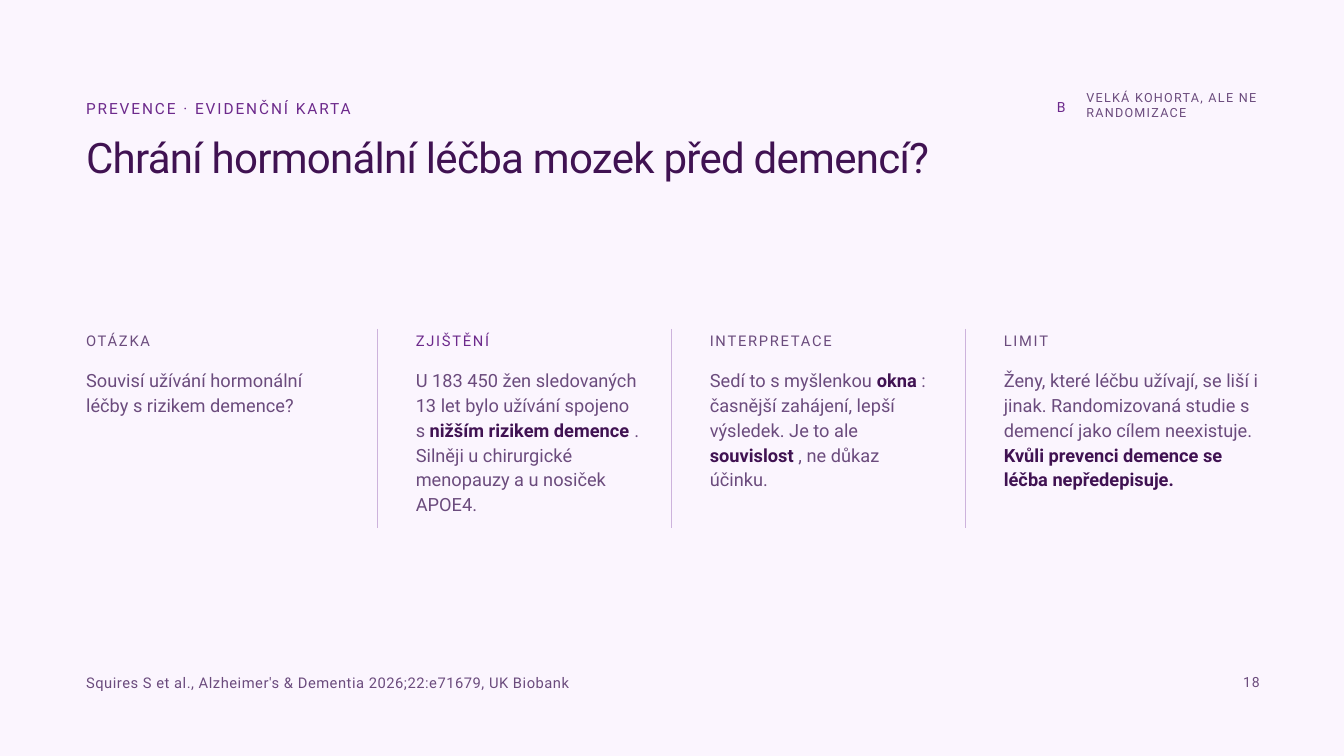
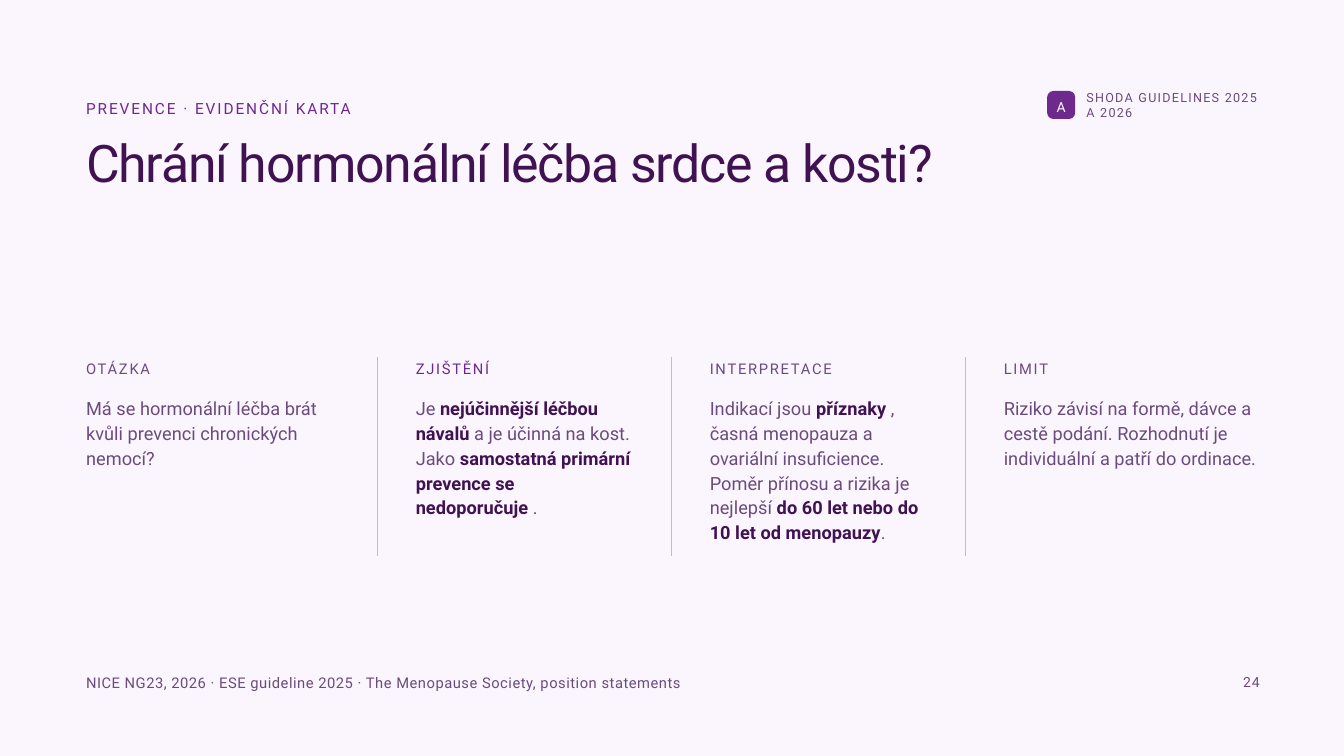
"""Build two evidence cards on menopausal hormone therapy and prevention."""
from dataclasses import dataclass

from lxml import etree
from pptx import Presentation
from pptx.dml.color import RGBColor
from pptx.enum.shapes import MSO_CONNECTOR, MSO_SHAPE
from pptx.enum.text import MSO_ANCHOR, MSO_AUTO_SIZE, PP_ALIGN
from pptx.oxml.ns import qn
from pptx.slide import Slide
from pptx.util import Pt

EMU_PER_PX = 9525
SLIDE_WIDTH, SLIDE_HEIGHT = 1920, 1080
TITLE_ONLY = 5

BACKGROUND = RGBColor(0xFB, 0xF5, 0xFE)
DARK = RGBColor(0x40, 0x12, 0x52)
ACCENT = RGBColor(0x6D, 0x2A, 0x8C)
MUTED = RGBColor(0x6B, 0x4B, 0x7D)
RULE = RGBColor(0xCD, 0xB3, 0xDC)
WHITE = RGBColor(0xFF, 0xFF, 0xFF)

FONT = "Roboto"
BOLD_MARK = "**"
LEFT, CENTER = PP_ALIGN.LEFT, PP_ALIGN.CENTER
TOP, MIDDLE = MSO_ANCHOR.TOP, MSO_ANCHOR.MIDDLE
NO_AUTOFIT = MSO_AUTO_SIZE.NONE
STRAIGHT = MSO_CONNECTOR.STRAIGHT
ROUNDED = MSO_SHAPE.ROUNDED_RECTANGLE

MARGIN = 123
EYEBROW = "PREVENCE · EVIDENČNÍ KARTA"
FIRST_DIVIDER, COLUMN_PITCH, COLUMN_PADDING = 539, 420, 55
DIVIDER_HEIGHT = 284
BADGE_LEFT, BADGE_TOP, BADGE_SIZE = 1496, 130, 40


@dataclass(frozen=True)
class Box:
    left: int
    top: int
    width: int
    height: int

    def emu(self) -> tuple[int, int, int, int]:
        return (self.left * EMU_PER_PX, self.top * EMU_PER_PX,
                self.width * EMU_PER_PX, self.height * EMU_PER_PX)


@dataclass(frozen=True)
class Style:
    size: float
    line: float
    color: RGBColor = MUTED
    spacing: float = 0
    align: PP_ALIGN = LEFT
    anchor: MSO_ANCHOR = TOP


@dataclass(frozen=True)
class Column:
    label: str
    width: int
    color: RGBColor = MUTED


@dataclass(frozen=True)
class Card:
    title: str
    title_box: Box
    title_style: Style
    grade: str
    grade_filled: bool
    grade_note: str
    columns_top: int
    bodies: tuple[str, ...]
    source: str
    number: str


EYEBROW_STYLE = Style(16.5, 24.8, ACCENT, 2.1)
NOTE_STYLE = Style(13.5, 16.8, spacing=1.4)
BODY_STYLE = Style(19.5, 26.5)
SOURCE_STYLE = Style(15.75, 22.8, spacing=0.6)
NUMBER_STYLE = Style(15, 22.4, spacing=0.9)

COLUMNS = (
    Column("OTÁZKA", 372),
    Column("ZJIŠTĚNÍ", 319, ACCENT),
    Column("INTERPRETACE", 319),
    Column("LIMIT", 373),
)

CARDS = (
    Card(
        title="Chrání hormonální léčba mozek před demencí?",
        title_box=Box(MARGIN, 197, 1535, 63),
        title_style=Style(45, 47.4, DARK, -0.8),
        grade="B",
        grade_filled=False,
        grade_note="VELKÁ KOHORTA, ALE NE RANDOMIZACE",
        columns_top=470,
        bodies=(
            "Souvisí užívání hormonální léčby s rizikem demence?",
            "U 183 450 žen sledovaných 13 let bylo užívání spojeno s "
            "**nižším rizikem demence **. Silněji u chirurgické menopauzy "
            "a u nosiček APOE4.",
            "Sedí to s myšlenkou **okna **: časnější zahájení, lepší "
            "výsledek. Je to ale **souvislost **, ne důkaz účinku.",
            "Ženy, které léčbu užívají, se liší i jinak. Randomizovaná "
            "studie s demencí jako cílem neexistuje. "
            "**Kvůli prevenci demence se léčba nepředepisuje.",
        ),
        source="Squires S et al., Alzheimer's & Dementia 2026;22:e71679, "
               "UK Biobank",
        number="18",
    ),
    Card(
        title="Chrání hormonální léčba srdce a kosti?",
        title_box=Box(MARGIN, 200, 1535, 74),
        title_style=Style(55.5, 56.7, DARK, -1.3),
        grade="A",
        grade_filled=True,
        grade_note="SHODA GUIDELINES 2025 A 2026",
        columns_top=510,
        bodies=(
            "Má se hormonální léčba brát kvůli prevenci chronických nemocí?",
            "Je **nejúčinnější léčbou návalů **a je účinná na kost. Jako "
            "**samostatná primární prevence se nedoporučuje **.",
            "Indikací jsou **příznaky **, časná menopauza a ovariální "
            "insuficience. Poměr přínosu a rizika je nejlepší "
            "**do 60 let nebo do 10 let od menopauzy**.",
            "Riziko závisí na formě, dávce a cestě podání. Rozhodnutí je "
            "individuální a patří do ordinace.",
        ),
        source="NICE NG23, 2026 · ESE guideline 2025 · The Menopause "
               "Society, position statements",
        number="24",
    ),
)


def write(shape, text: str, style: Style) -> None:
    """Fill a shape with one styled paragraph; marked parts turn bold."""
    frame = shape.text_frame
    frame.margin_left = frame.margin_right = 0
    frame.margin_top = frame.margin_bottom = 0
    frame.word_wrap = True
    frame.auto_size = NO_AUTOFIT
    frame.vertical_anchor = style.anchor
    paragraph = frame.paragraphs[0]
    paragraph.alignment = style.align
    paragraph.line_spacing = Pt(style.line)
    for index, part in enumerate(text.split(BOLD_MARK)):
        bold = index % 2 == 1
        run = paragraph.add_run()
        run.text = part
        run.font.name = FONT
        run.font.size = Pt(style.size)
        run.font.bold = bold
        run.font.color.rgb = DARK if bold else style.color
        if style.spacing:
            run.font._element.set("spc", str(round(style.spacing * 100)))


def add_text(slide: Slide, box: Box, text: str, style: Style) -> None:
    """Add a text box."""
    write(slide.shapes.add_textbox(*box.emu()), text, style)


def add_title(slide: Slide, card: Card) -> None:
    """Place the card's question in the title placeholder."""
    title = slide.shapes.title
    title.left, title.top, title.width, title.height = card.title_box.emu()
    write(title, card.title, card.title_style)


def add_grade(slide: Slide, card: Card) -> None:
    """Add the evidence grade and its note."""
    box = Box(BADGE_LEFT, BADGE_TOP, BADGE_SIZE, BADGE_SIZE)
    style = Style(15, 22.4, WHITE if card.grade_filled else ACCENT,
                  align=CENTER, anchor=MIDDLE)
    if card.grade_filled:
        badge = slide.shapes.add_shape(ROUNDED, *box.emu())
        badge.adjustments[0] = 0.22
        badge.shadow.inherit = False
        badge.fill.solid()
        badge.fill.fore_color.rgb = ACCENT
        badge.line.fill.background()
        write(badge, card.grade, style)
    else:
        add_text(slide, box, card.grade, style)
    add_text(slide, Box(1552, 127, 252, 49), card.grade_note, NOTE_STYLE)


def add_divider(slide: Slide, left: int, top: int) -> None:
    """Add a thin vertical line between two columns."""
    x, y, _, height = Box(left, top, 0, DIVIDER_HEIGHT).emu()
    divider = slide.shapes.add_connector(STRAIGHT, x, y, x, y + height)
    divider.line.color.rgb = RULE
    divider.line.width = Pt(0.75)
    etree.SubElement(divider._element.spPr, qn("a:effectLst"))


def add_columns(slide: Slide, card: Card) -> None:
    """Add the four labelled columns and the dividers between them."""
    top = card.columns_top
    for index, (column, body) in enumerate(zip(COLUMNS, card.bodies)):
        left = MARGIN
        if index:
            divider_left = FIRST_DIVIDER + (index - 1) * COLUMN_PITCH
            add_divider(slide, divider_left, top)
            left = divider_left + COLUMN_PADDING
        add_text(slide, Box(left, top - 3, column.width, 38), column.label,
                 Style(15.75, 23.8, column.color, 1.9))
        add_text(slide, Box(left, top + 54, column.width, 231), body,
                 BODY_STYLE)


def add_card(presentation: Presentation, card: Card) -> None:
    """Add one evidence card slide."""
    slide = presentation.slides.add_slide(
        presentation.slide_layouts[TITLE_ONLY])
    add_text(slide, Box(MARGIN, 135, 455, 41), EYEBROW, EYEBROW_STYLE)
    add_title(slide, card)
    add_grade(slide, card)
    add_columns(slide, card)
    add_text(slide, Box(MARGIN, 957, 1425, 36), card.source, SOURCE_STYLE)
    add_text(slide, Box(1776, 956, 29, 37), card.number, NUMBER_STYLE)


def main() -> None:
    """Build and save the presentation."""
    presentation = Presentation()
    presentation.slide_width = SLIDE_WIDTH * EMU_PER_PX
    presentation.slide_height = SLIDE_HEIGHT * EMU_PER_PX
    background = presentation.slide_master.background.fill
    background.solid()
    background.fore_color.rgb = BACKGROUND
    for card in CARDS:
        add_card(presentation, card)
    presentation.save("out.pptx")


if __name__ == "__main__":
    main()
